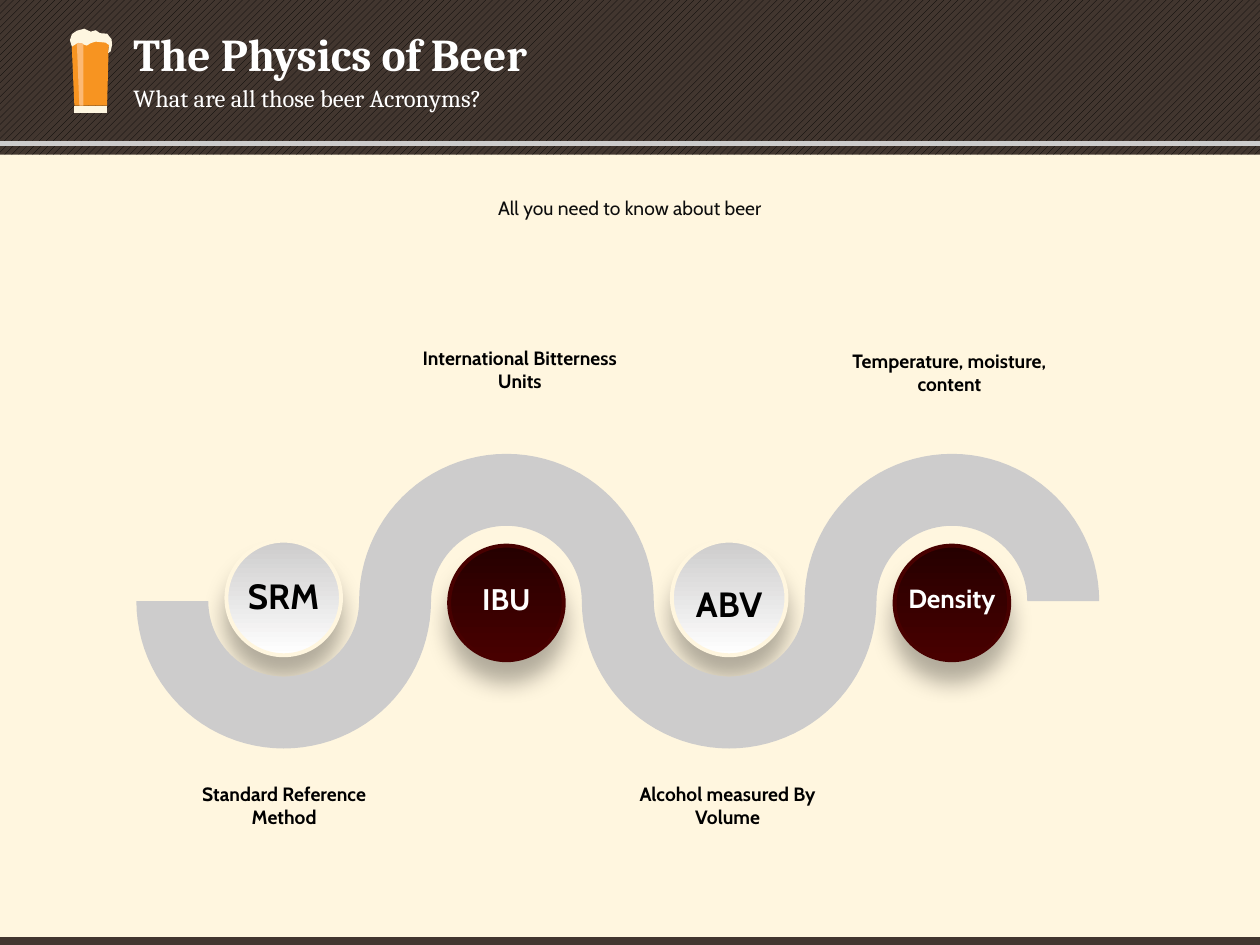
from math import cos, pi, sin

from lxml.etree import SubElement
from pptx import Presentation
from pptx.dml.color import RGBColor
from pptx.enum.dml import MSO_PATTERN
from pptx.enum.shapes import MSO_CONNECTOR, MSO_SHAPE
from pptx.enum.text import MSO_ANCHOR, MSO_AUTO_SIZE, PP_ALIGN
from pptx.oxml.ns import qn
from pptx.util import Cm, Pt

CREAM = RGBColor(0xFF, 0xF6, 0xDF)
FOAM = RGBColor(0xFE, 0xF6, 0xE0)
BROWN = RGBColor(0x42, 0x36, 0x2F)
AMBER = RGBColor(0xF7, 0x94, 0x21)
HIGHLIGHT = RGBColor(0xFC, 0xB9, 0x74)
SILVER = RGBColor(0xCD, 0xCC, 0xCC)
MAROON = RGBColor(0x48, 0x00, 0x00)
DARK_MAROON = RGBColor(0x26, 0x00, 0x00)
WHITE = RGBColor(0xFF, 0xFF, 0xFF)
BLACK = RGBColor(0x00, 0x00, 0x00)
CHARCOAL = RGBColor(0x0D, 0x0D, 0x0D)

WIDTH, HEIGHT = 25.4, 19.05
OUTER, INNER = 2.97, 1.52
PITCH = OUTER + INNER
FIRST_X, WAVE_Y = 5.72, 12.12
BALL, LABEL_WIDTH, CAPTION_WIDTH = 2.31, 2.06, 4.04

# label, size, label top, caption, caption left, caption top
TERMS = [
    ("SRM", 20, 11.68, "Standard Reference Method", 3.71, 15.77),
    ("IBU", 17, 11.79, "International Bitterness Units", 8.46, 6.98),
    ("ABV", 20, 11.84, "Alcohol measured By Volume", 12.65, 15.77),
    ("Density", 15, 11.81, "Temperature, moisture, content", 17.12, 7.04),
]

GLASS = [
    ([(1.45, 0.71), (1.45, 0.99), (1.5, 2.13), (2.16, 2.13), (2.19, 0.99),
      (2.21, 0.76)], AMBER),
    ([(1.5, 2.13), (2.16, 2.13), (2.16, 2.28), (1.5, 2.28)], FOAM),
    ([(1.45, 0.94), (1.41, 0.81), (1.45, 0.69), (1.55, 0.62), (1.7, 0.58),
      (1.83, 0.64), (1.93, 0.61), (2.02, 0.67), (2.16, 0.68), (2.25, 0.79),
      (2.26, 0.91), (2.23, 1.04), (2.18, 1.07), (2.2, 0.91), (2.13, 0.86),
      (1.93, 0.84), (1.83, 0.87), (1.75, 0.92), (1.58, 0.86)], FOAM),
    ([(1.55, 0.87), (1.65, 0.87), (1.68, 0.89), (1.68, 2.13), (1.6, 2.13)],
     HIGHLIGHT),
]


class SlideBuilder:
    def __init__(self, slide, heading_font, text_font):
        self.slide = slide
        self.heading_font = heading_font
        self.text_font = text_font

    def bar(self, top, height):
        shape = self.slide.shapes.add_shape(
            MSO_SHAPE.RECTANGLE, 0, Cm(top), Cm(WIDTH), Cm(height))
        shape.shadow.inherit = False
        shape.line.fill.background()
        shape.fill.solid()
        shape.fill.fore_color.rgb = BROWN
        return shape

    def hatched_bar(self, top, height):
        fill = self.bar(top, height).fill
        fill.patterned()
        fill.pattern = MSO_PATTERN.WIDE_UPWARD_DIAGONAL
        fill.fore_color.rgb = BLACK
        fill.back_color.rgb = BROWN

    def rule(self, y, weight):
        line = self.slide.shapes.add_connector(
            MSO_CONNECTOR.STRAIGHT, 0, Cm(y), Cm(WIDTH), Cm(y))
        line.line.color.rgb = SILVER
        line.line.width = Pt(weight)
        SubElement(line._element.spPr, qn("a:effectLst"))

    def polygon(self, points, color):
        start, *rest = [(Cm(x), Cm(y)) for x, y in points]
        builder = self.slide.shapes.build_freeform(*start)
        builder.add_line_segments(rest, close=True)
        shape = builder.convert_to_shape()
        shape.shadow.inherit = False
        shape.fill.solid()
        shape.fill.fore_color.rgb = color
        shape.line.fill.background()

    def ball(self, center_x, top, top_color, bottom_color, rim):
        shape = self.slide.shapes.add_shape(
            MSO_SHAPE.OVAL, Cm(center_x - BALL / 2), Cm(top), Cm(BALL), Cm(BALL))
        shape.fill.gradient()
        shape.fill.gradient_angle = 270
        for stop, color in zip(shape.fill.gradient_stops, (top_color, bottom_color)):
            stop.color.rgb = color
        shape.line.color.rgb = rim
        shape.line.width = Pt(2.25)
        effects = SubElement(shape._element.spPr, qn("a:effectLst"))
        shadow = SubElement(effects, qn("a:outerShdw"), blurRad=str(Pt(13)),
                            dist=str(Pt(12)), dir="5400000", rotWithShape="0")
        color = SubElement(shadow, qn("a:srgbClr"), val=str(BLACK))
        SubElement(color, qn("a:alpha"), val="30000")

    def set_text(self, shape, text, font, size, color, bold, align):
        frame = shape.text_frame
        frame.text = text
        frame.word_wrap = True
        frame.auto_size = MSO_AUTO_SIZE.NONE
        frame.vertical_anchor = MSO_ANCHOR.TOP
        frame.margin_left = frame.margin_right = 0
        frame.margin_top = frame.margin_bottom = 0
        paragraph = frame.paragraphs[0]
        paragraph.alignment = align
        paragraph.space_before = Pt(0)
        paragraph.font.name = font
        paragraph.font.size = Pt(size)
        paragraph.font.bold = bold
        paragraph.font.color.rgb = color
        return paragraph

    def heading(self, placeholder, text, top, width, height, size, bold=False):
        placeholder.left, placeholder.top = Cm(2.69), Cm(top)
        placeholder.width, placeholder.height = Cm(width), Cm(height)
        paragraph = self.set_text(placeholder, text, self.heading_font, size,
                                  WHITE, bold, PP_ALIGN.LEFT)
        properties = paragraph._p.get_or_add_pPr()
        properties.set("marL", "0")
        properties.set("indent", "0")
        SubElement(properties, qn("a:buNone"))
        # the default run properties must follow the bullet setting
        run_defaults = properties.find(qn("a:defRPr"))
        if run_defaults is not None:
            properties.append(run_defaults)

    def text(self, text, left, top, width, height, size=11, color=BLACK,
             bold=True, spacing=1.0):
        box = self.slide.shapes.add_textbox(
            Cm(left), Cm(top), Cm(width), Cm(height))
        paragraph = self.set_text(box, text, self.text_font, size, color, bold,
                                  PP_ALIGN.CENTER)
        paragraph.line_spacing = spacing


def wave_outline(centers, steps=48):
    """Trace half rings that hang below and rise above the axis in turn."""
    def edge(radii):
        points = []
        for index, center in enumerate(centers):
            side = 1 if index % 2 == 0 else -1
            radius = radii[index % 2]
            for step in range(steps + 1):
                angle = pi * step / steps
                points.append((center - radius * cos(angle),
                               WAVE_Y + side * radius * sin(angle)))
        return points

    return edge((INNER, OUTER)) + edge((OUTER, INNER))[::-1]


def main():
    presentation = Presentation()
    presentation.slide_width, presentation.slide_height = Cm(WIDTH), Cm(HEIGHT)
    slide = presentation.slides.add_slide(presentation.slide_layouts[1])
    slide.background.fill.solid()
    slide.background.fill.fore_color.rgb = CREAM
    title, subtitle = slide.placeholders
    builder = SlideBuilder(slide, "Cambria", "Cabin")

    builder.hatched_bar(0, 3.12)
    builder.rule(2.89, 3.25)
    builder.bar(18.89, 0.16)
    for points, color in GLASS:
        builder.polygon(points, color)

    # bring the headings in front of the header band
    for placeholder in (title, subtitle):
        slide.shapes._spTree.append(placeholder._element)
    builder.heading(title, "The Physics of Beer", 0.53, 10.21, 1.12, 26, bold=True)
    builder.heading(subtitle, "What are all those beer Acronyms?", 1.68, 12.19, 0.81, 14)
    builder.text("All you need to know about beer", 1.83, 3.96, 21.74, 0.48,
                 color=CHARCOAL, bold=False)

    centers = [FIRST_X + index * PITCH for index in range(len(TERMS))]
    for index, center in enumerate(centers):
        if index % 2:
            builder.ball(center, 11, DARK_MAROON, MAROON, MAROON)
        else:
            builder.ball(center, 10.9, SILVER, WHITE, CREAM)
    builder.polygon(wave_outline(centers), SILVER)

    for index, (label, size, top, caption, left, caption_top) in enumerate(TERMS):
        builder.text(caption, left, caption_top, CAPTION_WIDTH, 0.94)
        builder.text(label, centers[index] - LABEL_WIDTH / 2, top, LABEL_WIDTH,
                     0.7, size, WHITE if index % 2 else BLACK, spacing=0.9)

    presentation.save("out.pptx")


if __name__ == "__main__":
    main()
